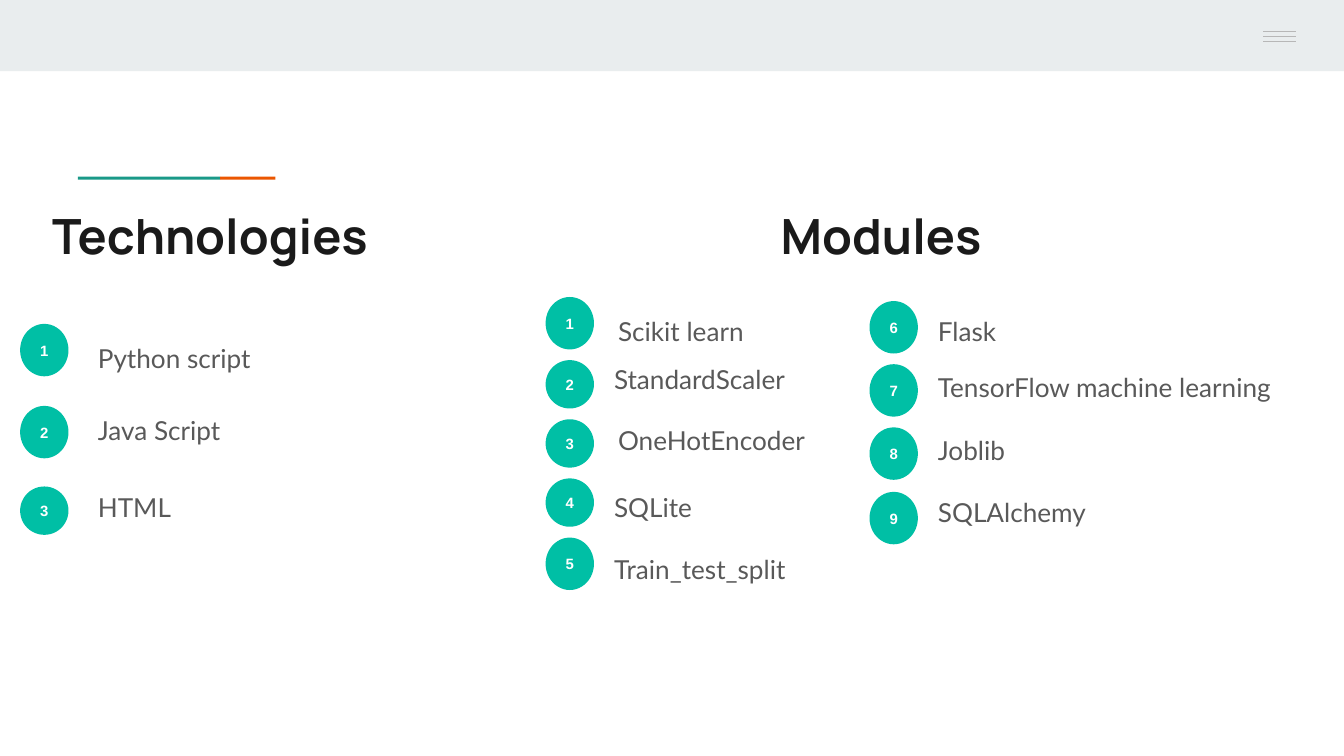
from lxml import etree
from pptx import Presentation
from pptx.dml.color import RGBColor
from pptx.enum.shapes import MSO_CONNECTOR, MSO_SHAPE
from pptx.enum.text import MSO_ANCHOR, PP_ALIGN
from pptx.oxml.ns import qn
from pptx.util import Inches, Pt

RECT, OVAL = MSO_SHAPE.RECTANGLE, MSO_SHAPE.OVAL
STRAIGHT = MSO_CONNECTOR.STRAIGHT
CENTER, LEFT = PP_ALIGN.CENTER, PP_ALIGN.LEFT
TOP, MIDDLE = MSO_ANCHOR.TOP, MSO_ANCHOR.MIDDLE

PALE, GREY, TEXT, INK = "E9EDEE", "B7B7B7", "595959", "1A1A1A"
GREEN, ORANGE, TEAL, WHITE = "1A9988", "EB5600", "00BFA5", "FFFFFF"

SLIDE_W, SLIDE_H = Inches(10), Inches(5.625)
UNIT = SLIDE_W / 100
DISC_W, LABEL_H = 3.6, 3.9

TECHNOLOGIES = [
    ("Python script", 0, 3.9, 4.8, 0, 1.15),
    ("Java Script", 6.1, 3.9, 4.8, 5.4, 1.15),
    ("HTML", 12.1, 3.6, 4.8, 11.1, 1.15),
]
CORE_MODULES = [
    ("Scikit learn", 0, 3.9, 4.4, -0.7, 1.47),
    ("StandardScaler", 4.7, 3.6, 4.1, 3.9, 1),
    ("OneHotEncoder", 9.1, 3.6, 4.4, 8.5, 1),
    ("SQLite", 13.5, 3.6, 4.1, 13.1, 1.15),
    ("Train_test_split", 17.9, 3.9, 4.1, 17.7, 1.15),
]
MORE_MODULES = [
    ("Flask", 0, 3.9, 4.1, -0.3, 1.15),
    ("TensorFlow machine learning", 4.7, 3.9, 4.1, 3.9, 1.15),
    ("Joblib", 9.4, 3.9, 4.1, 8.6, 1.15),
    ("SQLAlchemy", 14.2, 3.9, 4.1, 13.2, 1.15),
]


def rgb(value):
    """Turn a hex string into a colour."""
    return RGBColor.from_string(value)


def grid(*cells):
    """Turn grid columns and rows into lengths."""
    return [round(cell * UNIT) for cell in cells]


def add_block(s, kind, box, fill):
    """Add a plain filled shape without outline or shadow."""
    sp = s.shapes.add_shape(kind, *grid(*box))
    sp.shadow.inherit = False
    sp.fill.solid()
    sp.fill.fore_color.rgb = rgb(fill)
    sp.line.fill.background()
    return sp


def set_text(sp, text, font, size, color, bold=False, align=LEFT,
             anchor=TOP, inset=1, spacing=None):
    """Write one styled paragraph into a shape."""
    tf = sp.text_frame
    tf.word_wrap = True
    tf.vertical_anchor = anchor
    tf.margin_left, tf.margin_top, tf.margin_right, tf.margin_bottom = grid(*[inset] * 4)
    p = tf.paragraphs[0]
    p.text = text
    p.alignment = align
    p.line_spacing = spacing
    p.font.name, p.font.size, p.font.bold = font, Pt(size), bold
    p.font.color.rgb = rgb(color)


def add_header(s, box):
    """Draw the top band with its menu lines."""
    left, top, width, _ = box
    add_block(s, RECT, box, PALE)
    right = left + width - 3.6
    for row in (2.35, 2.72, 3.1):
        y = top + row
        line = s.shapes.add_connector(STRAIGHT, *grid(right - 2.4, y, right, y))
        line.line.color.rgb = rgb(GREY)
        line.line.width = Pt(0.75)
        etree.SubElement(line._element.spPr, qn("a:effectLst"))


def add_accent(s, box):
    """Draw the two-coloured rule above the titles."""
    left, top, width, height = box
    split = width * 0.72
    add_block(s, RECT, (left, top, split, height), GREEN)
    add_block(s, RECT, (left + split, top, width - split, height), ORANGE)


def add_title(s, box, text):
    """Add a section title."""
    sp = s.shapes.add_textbox(*grid(*box))
    set_text(sp, text, "Manrope", 26, INK, bold=True)


def add_numbered_list(s, box, items, first=1):
    """Place numbered discs and their labels inside a column."""
    left, top, width = box
    for number, item in enumerate(items, first):
        label, disc_row, disc_h, indent, label_row, spacing = item
        disc = add_block(s, OVAL, (left, top + disc_row, DISC_W, disc_h), TEAL)
        set_text(disc, str(number), "Arial", 8, WHITE, bold=True,
                 align=CENTER, anchor=MIDDLE, inset=0)
        sp = s.shapes.add_textbox(
            *grid(left + indent, top + label_row, width - indent, LABEL_H))
        set_text(sp, label, "Lato", 14, TEXT, spacing=spacing)


def main():
    """Build and save the slide."""
    prs = Presentation()
    prs.slide_width, prs.slide_height = SLIDE_W, SLIDE_H
    s = prs.slides.add_slide(prs.slide_layouts[6])
    add_header(s, (0, 0, 100, 5.3))
    add_accent(s, (5.8, 13.15, 14.7, 0.23))
    add_title(s, (2.9, 14.3, 41.3, 5.3), "Technologies")
    add_title(s, (57.1, 14.3, 41.7, 5.3), "Modules")
    add_numbered_list(s, (1.5, 24.1, 40.1), TECHNOLOGIES)
    add_numbered_list(s, (40.6, 22.1, 39.6), CORE_MODULES)
    add_numbered_list(s, (64.7, 22.4, 35.3), MORE_MODULES, first=6)
    prs.save("out.pptx")


if __name__ == "__main__":
    main()
